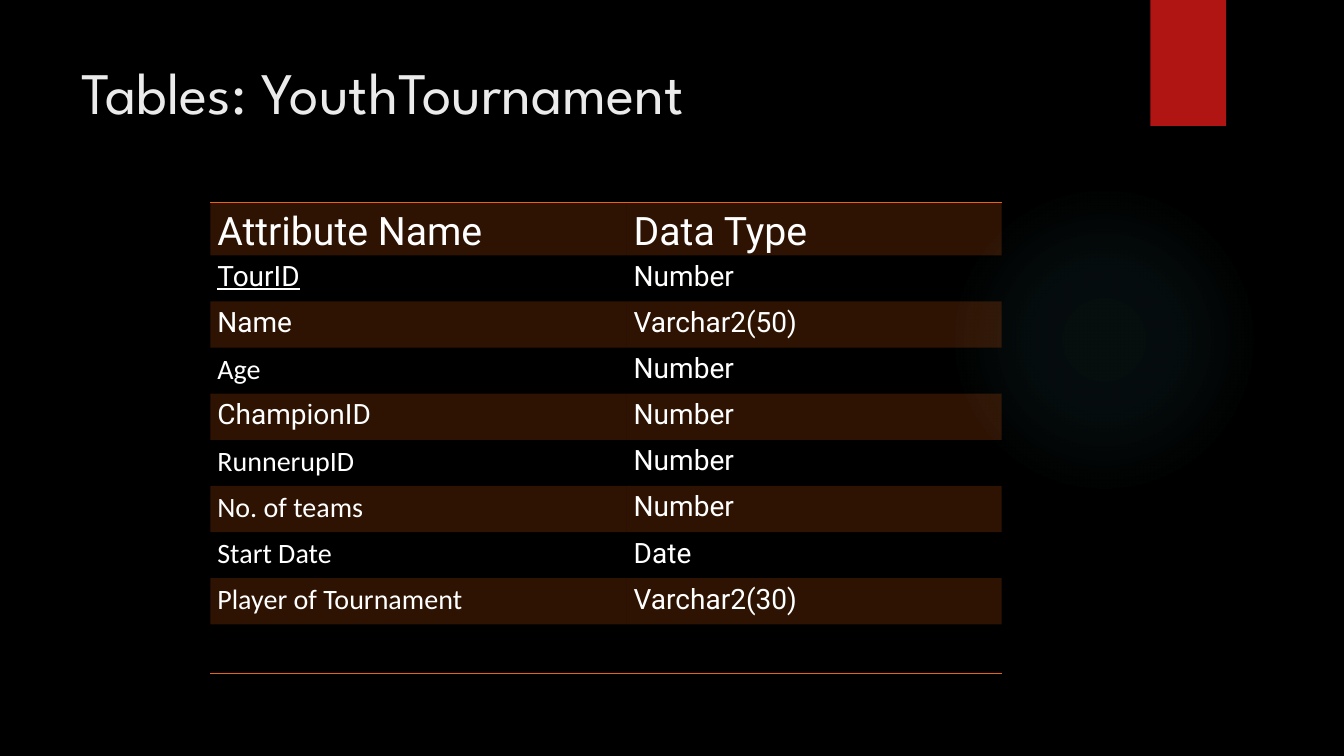
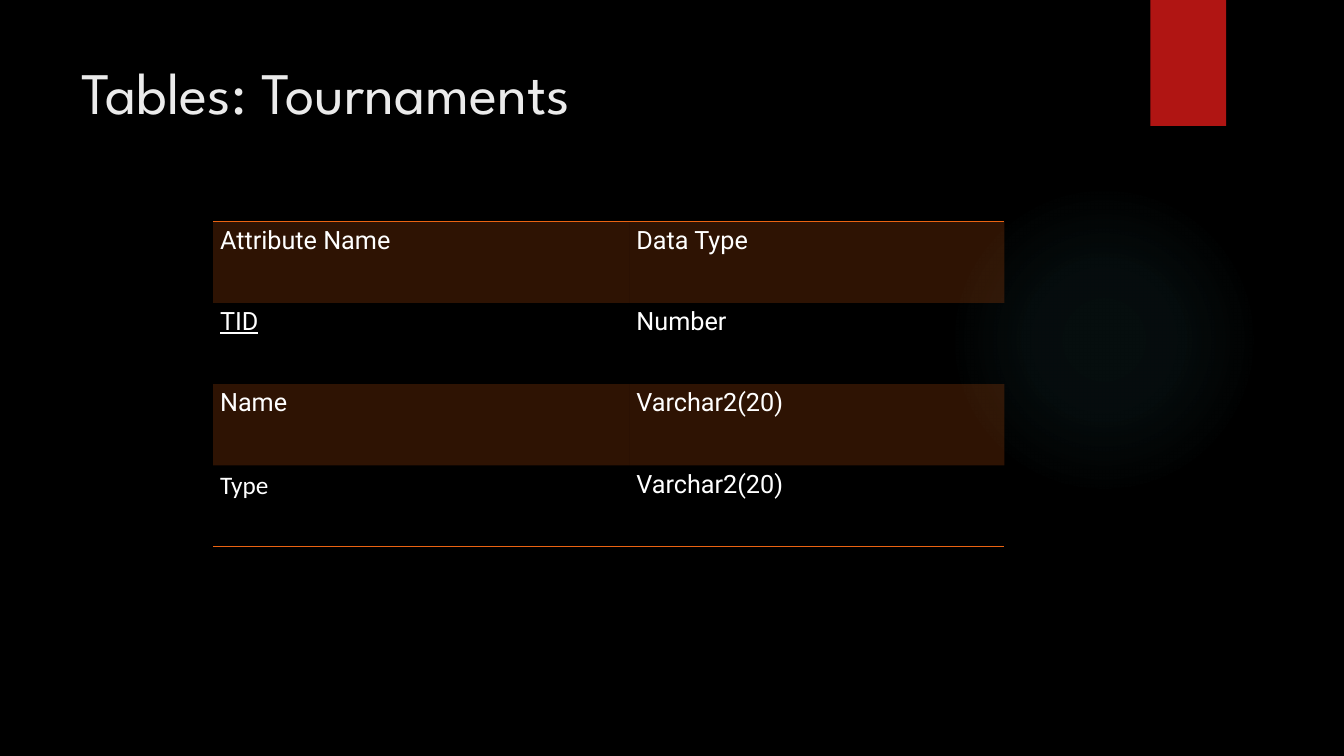
from pptx import Presentation
from pptx.dml.color import RGBColor as RGB
from pptx.enum.shapes import MSO_SHAPE as Shape
from pptx.enum.text import MSO_ANCHOR as Anchor, MSO_AUTO_SIZE as Fit, PP_ALIGN as Align
from pptx.oxml import parse_xml
from pptx.oxml.ns import nsdecls, qn
from pptx.util import Inches, Pt

WIDE, HIGH = Inches(13.33), Inches(7.5)
HUES = {"back": "000000", "glow": "50B9C1", "tab": "B01513",
        "title": "EBEBEB", "text": "FFFFFF", "band": "EA6312"}
HEAD, BODY, ALT = "League Spartan", "Roboto", "Calibri"
PLAIN = "{2D5ABB26-0587-4C30-8999-92F81FD0307C}"  # no style, no grid
COLS = (30.98, 27.9)
HEADER = ("Attribute Name", "Data Type")
ALT_NAMES = {"Age", "RunnerupID", "No. of teams", "Start Date",
             "Player of Tournament", "Type"}

YOUTH = [HEADER, ("TourID", "Number"), ("Name", "Varchar2(50)"),
         ("Age", "Number"), ("ChampionID", "Number"),
         ("RunnerupID", "Number"), ("No. of teams", "Number"),
         ("Start Date", "Date"), ("Player of Tournament", "Varchar2(30)"),
         ("", "")]
TOURS = [HEADER, ("TID", "Number"), ("Name", "Varchar2(20)"),
         ("Type", "Varchar2(20)")]


def hue(name):
    return RGB.from_string(HUES[name])


def across(share):
    """Length for a percentage of the slide's width."""
    return int(WIDE * share / 100)


def down(share):
    """Length for a percentage of the slide's height."""
    return int(HIGH * share / 100)


def box(x, y, w, h):
    return across(x), down(y), across(w), down(h)


def add_block(slide, kind, place):
    block = slide.shapes.add_shape(kind, *place)
    block.shadow.inherit = False
    block.line.fill.background()
    return block


def add_glow(slide):
    """Round gradient that fades out towards its rim."""
    glow = add_block(slide, Shape.OVAL, box(70.6, 24.4, 23.1, 41.07))
    glow.fill.background()
    stops = "".join(
        f'<a:gs pos="{at}000"><a:srgbClr val="{HUES["glow"]}">'
        f'<a:alpha val="{alpha}000"/></a:srgbClr></a:gs>'
        for at, alpha in ((0, 7), (36, 6), (69, 0), (100, 0)))
    blend = parse_xml(
        f'<a:gradFill {nsdecls("a")} rotWithShape="1"><a:gsLst>{stops}</a:gsLst>'
        '<a:path path="circle"><a:fillToRect l="50000" t="50000" '
        'r="50000" b="50000"/></a:path></a:gradFill>')
    props = glow.element.spPr
    props.replace(props.find(qn("a:noFill")), blend)
    return glow


def add_tab(slide):
    tab = add_block(slide, Shape.RECTANGLE, box(85.6, 0, 5.63, 16.67))
    tab.fill.solid()
    tab.fill.fore_color.rgb = hue("tab")
    return tab


def set_theme(prs, layout, slide):
    """Give the master its background and the layout its decoration."""
    fill = prs.slide_master.background.fill
    fill.solid()
    fill.fore_color.rgb = hue("back")
    for spot, part in enumerate((add_glow(slide), add_tab(slide)), 2):
        layout.shapes.element.insert(spot, part.element)


def set_title(slide, text):
    title = slide.shapes.title
    title.left, title.top, title.width, title.height = box(5.33, 6.67, 80.92, 20.4)
    frame = title.text_frame
    frame.text = text
    frame.word_wrap = True
    frame.auto_size = Fit.NONE
    frame.vertical_anchor = Anchor.TOP
    para = frame.paragraphs[0]
    para.alignment = Align.LEFT
    para.font.name, para.font.size = HEAD, Pt(42)
    para.font.color.rgb = hue("title")


def fill_cell(cell, banded):
    if not banded:
        cell.fill.background()
        return
    cell.fill.solid()
    cell.fill.fore_color.rgb = hue("band")
    tint = cell._tc.tcPr.find(".//" + qn("a:srgbClr"))
    tint.append(parse_xml(f'<a:alpha {nsdecls("a")} val="20000"/>'))


def rule_cell(cell, side):
    """Draw a thin line on the top (T) or bottom (B) of a cell."""
    cell._tc.get_or_add_tcPr().insert(0, parse_xml(
        f'<a:ln{side} {nsdecls("a")} w="12700"><a:solidFill>'
        f'<a:srgbClr val="{HUES["band"]}"/></a:solidFill></a:ln{side}>'))


def write_cell(cell, text, size, key):
    cell.margin_left = cell.margin_right = Inches(0.07)
    cell.margin_top = cell.margin_bottom = 0
    cell.text = text
    para = cell.text_frame.paragraphs[0]
    para.line_spacing, para.space_after = 1.15, Pt(10)
    font = para.font
    font.name = ALT if text in ALT_NAMES else BODY
    font.size = Pt(size)
    font.color.rgb = hue("text")
    if key:
        font.underline = True


def add_grid(slide, rows, x, y, step, sizes):
    """Banded table; sizes holds the header and body text sizes."""
    frame = slide.shapes.add_table(len(rows), len(COLS),
                                   *box(x, y, sum(COLS), step * len(rows)))
    grid = frame.table
    grid.first_row = grid.horz_banding = False
    grid._tbl.tblPr.find(qn("a:tableStyleId")).text = PLAIN
    for col, share in zip(grid.columns, COLS):
        col.width = across(share)
    last = len(rows) - 1
    for r, row in enumerate(rows):
        for c, text in enumerate(row):
            cell = grid.cell(r, c)
            fill_cell(cell, r % 2 == 0)
            if text:
                write_cell(cell, text, sizes[min(r, 1)], (r, c) == (1, 0))
            if r in (0, last):
                rule_cell(cell, "B" if r else "T")
    return grid


def main():
    prs = Presentation()
    prs.slide_width, prs.slide_height = WIDE, HIGH
    layout = prs.slide_layouts[5]

    youth = prs.slides.add_slide(layout)
    set_theme(prs, layout, youth)
    set_title(youth, "Tables: YouthTournament")
    grid = add_grid(youth, YOUTH, 15.65, 26.8, 6.1, (28, 20))
    grid.rows[len(YOUTH) - 1].height = down(6.5)

    tours = prs.slides.add_slide(layout)
    set_title(tours, "Tables: Tournaments")
    add_grid(tours, TOURS, 15.85, 29.3, 10.76, (18, 18))

    prs.save("out.pptx")


if __name__ == "__main__":
    main()
